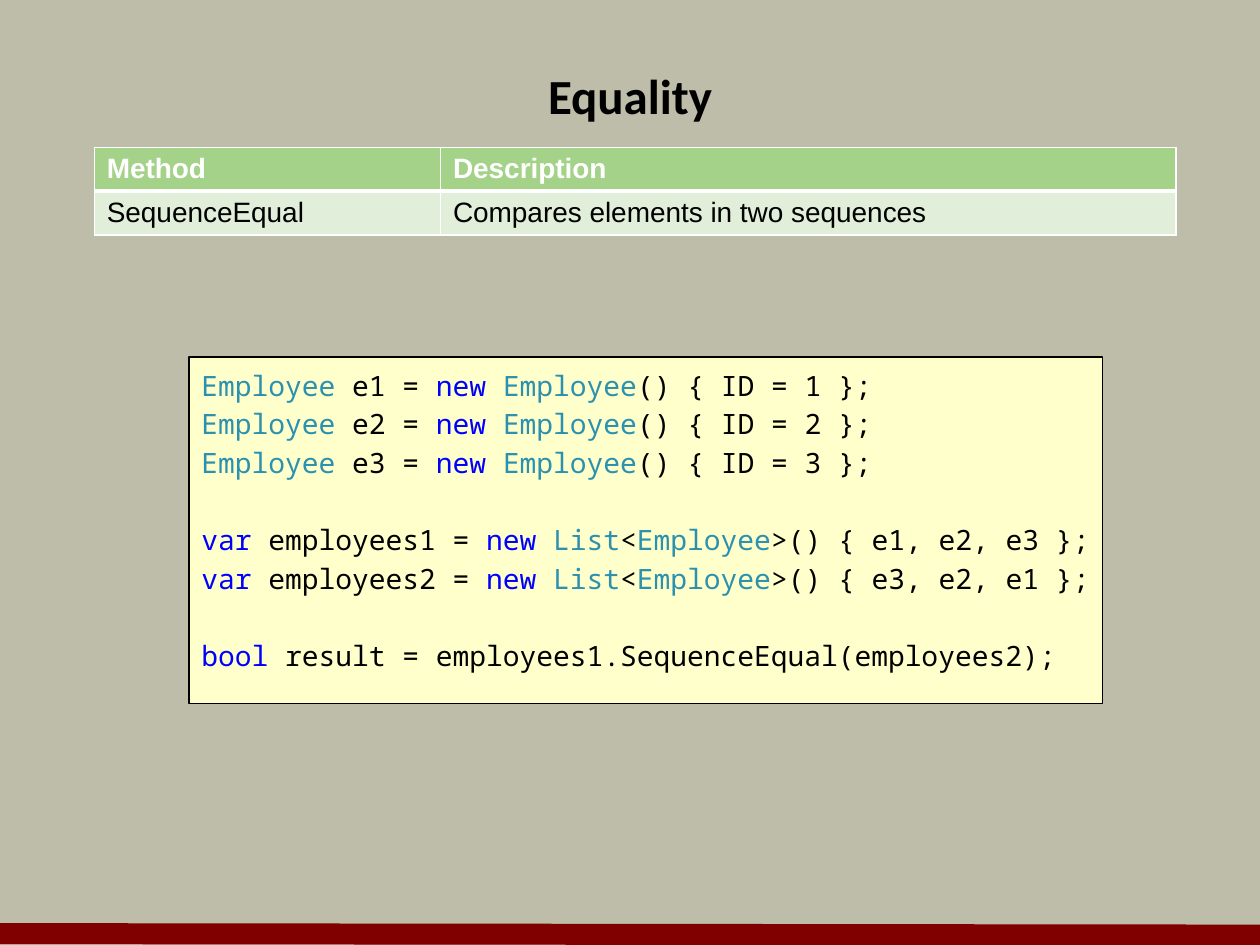
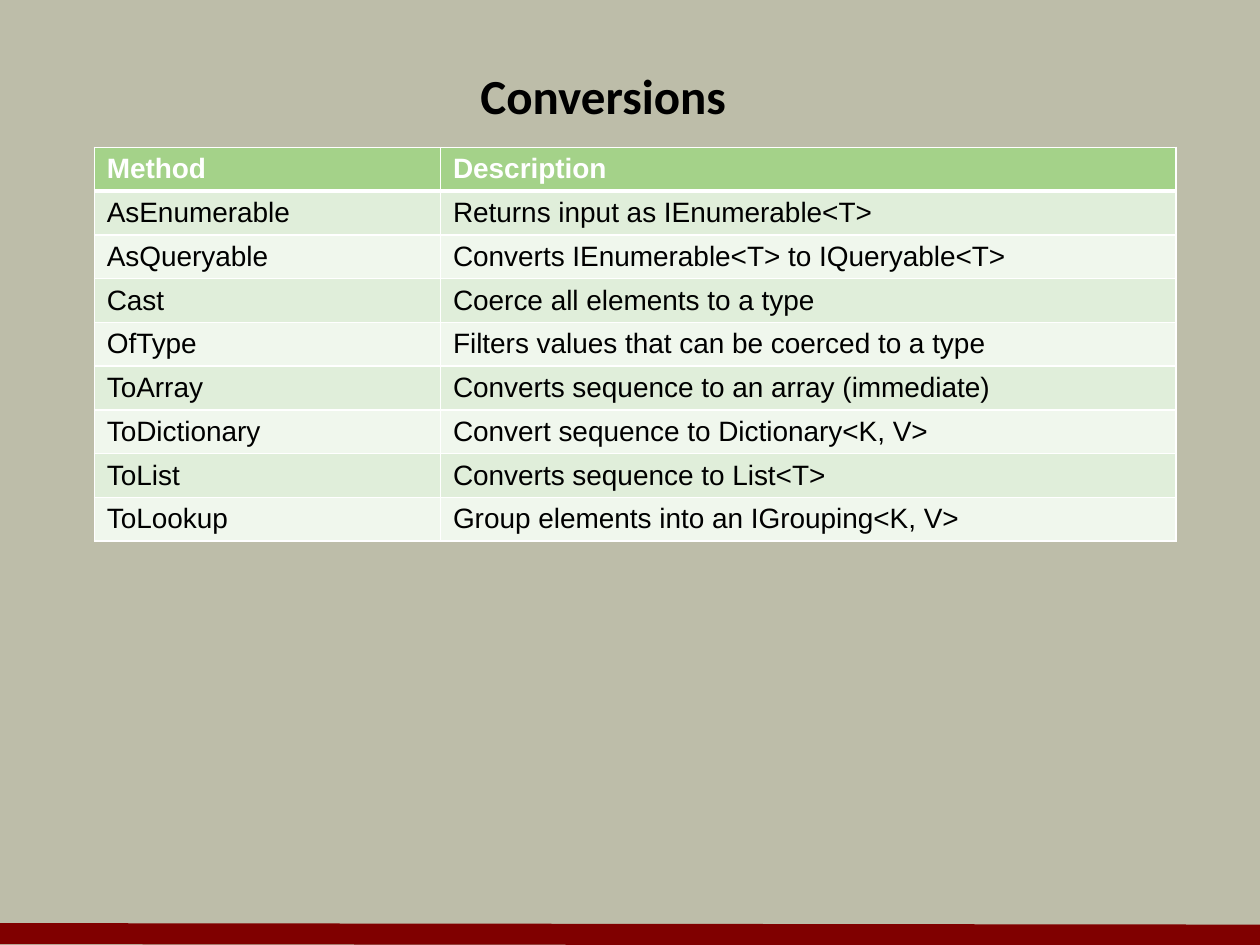
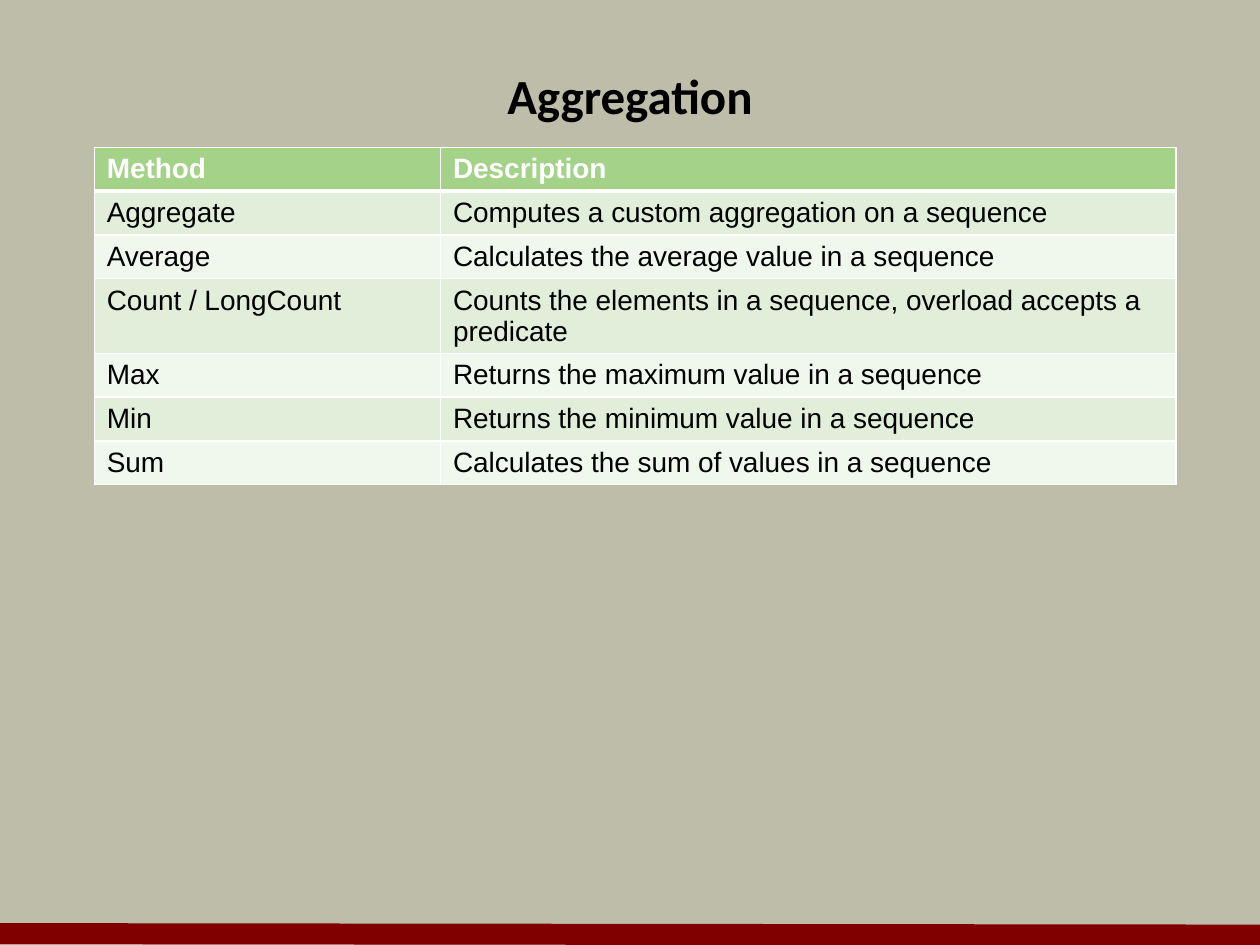
import dataclasses
import itertools

import pptx
import pptx.dml.color
import pptx.enum.shapes
import pptx.enum.text
import pptx.oxml
import pptx.oxml.ns
import pptx.util

Cm = pptx.util.Cm
Pt = pptx.util.Pt


# Colours, fonts and type sizes
@dataclasses.dataclass(frozen=True)
class Theme:
    back: str = "BDBDA9"
    band: str = "800000"
    ink: str = "000000"
    white: str = "FFFFFF"
    head: str = "A4D289"
    rows: tuple = ("E0EEDA", "F0F7ED")
    paper: str = "FFFFCC"
    word: str = "0000FF"
    kind: str = "2B91AF"
    title_font: str = "Calibri"
    text_font: str = "Arial"
    code_font: str = "Noto Sans Mono"
    title_size: int = 28
    text_size: int = 16


THEME = Theme()

# Boxes in cm: left, top, width, height
TITLE = (1.27, 0.85, 22.86, 2.12)
TABLE = (1.9, 2.97, 21.81, 0.88)  # height of one row
CODE = (3.81, 7.2, 18.42, 6.99)
SPLIT = 0.32  # share of the table taken by the first column

WORDS = {"new", "var", "bool"}
KINDS = {"Employee", "List"}

# Each block of code is set apart by a gap
BLOCKS = [
    [f"Employee e{n} = new Employee() {{ ID = {n} }};" for n in (1, 2, 3)],
    ["var employees1 = new List<Employee>() { e1, e2, e3 };",
     "var employees2 = new List<Employee>() { e3, e2, e1 };"],
    ["bool result = employees1.SequenceEqual(employees2);"],
]

EQUAL = [("SequenceEqual", "Compares elements in two sequences")]
CONVERT = [
    ("AsEnumerable", "Returns input as IEnumerable<T>"),
    ("AsQueryable", "Converts IEnumerable<T> to IQueryable<T>"),
    ("Cast", "Coerce all elements to a type"),
    ("OfType", "Filters values that can be coerced to a type"),
    ("ToArray", "Converts sequence to an array (immediate)"),
    ("ToDictionary", "Convert sequence to Dictionary<K, V>"),
    ("ToList", "Converts sequence to List<T>"),
    ("ToLookup", "Group elements into an IGrouping<K, V>"),
]
TOTAL = [
    ("Aggregate", "Computes a custom aggregation on a sequence"),
    ("Average", "Calculates the average value in a sequence"),
    ("Count / LongCount",
     "Counts the elements in a sequence, overload accepts a predicate"),
    ("Max", "Returns the maximum value in a sequence"),
    ("Min", "Returns the minimum value in a sequence"),
    ("Sum", "Calculates the sum of values in a sequence"),
]


def rgb(code):
    return pptx.dml.color.RGBColor.from_string(code)


def paint(fill, code):
    fill.solid()
    fill.fore_color.rgb = rgb(code)


def style(font, name, size, code, bold=False):
    font.name, font.size, font.bold = name, Pt(size), bold
    font.color.rgb = rgb(code)


# Band along the foot of the slide
def add_band(slide, wide):
    line = slide.shapes.add_connector(
        pptx.enum.shapes.MSO_CONNECTOR.STRAIGHT, 0, Cm(18.82), wide, Cm(18.85))
    line.line.color.rgb = rgb(THEME.band)
    line.line.width = Pt(12)
    props = line.element.find(pptx.oxml.ns.qn("p:spPr"))
    props.append(pptx.oxml.parse_xml(
        f"<a:effectLst {pptx.oxml.ns.nsdecls('a')}/>"))


# Title in its placeholder, with a hanging first line
def add_title(slide, text, box):
    title = slide.shapes.title
    title.left, title.top, title.width, title.height = map(Cm, box)
    frame = title.text_frame
    frame.text = text
    frame.vertical_anchor = pptx.enum.text.MSO_ANCHOR.MIDDLE
    para = frame.paragraphs[0]
    para.alignment = pptx.enum.text.PP_ALIGN.CENTER
    props = para._p.get_or_add_pPr()
    props.set("marL", str(Cm(0.95)))
    props.set("indent", str(-Cm(0.95)))
    style(para.runs[0].font, THEME.title_font, THEME.title_size, THEME.ink, True)


def edge(cell, sides):
    props = cell._tc.get_or_add_tcPr()
    for side, width in sides.items():
        props.append(pptx.oxml.parse_xml(
            f'<a:ln{side} {pptx.oxml.ns.nsdecls("a")} w="{Pt(width)}">'
            f'<a:solidFill><a:srgbClr val="{THEME.white}"/></a:solidFill>'
            f'</a:ln{side}>'))


# Table of methods: header row, then banded rows
def add_grid(slide, rows, box):
    left, top, width, high = box
    cells = [("Method", "Description"), *rows]
    grid = slide.shapes.add_table(
        len(cells), 2, Cm(left), Cm(top), Cm(width), Cm(high * len(cells))).table
    for col, share in zip(grid.columns, (SPLIT, 1 - SPLIT)):
        col.width = Cm(width * share)
    for r, texts in enumerate(cells):
        first = r == 0
        shade = THEME.head if first else THEME.rows[(r - 1) % 2]
        sides = {"L": 1, "R": 1, "T": 3 if r == 1 else 1, "B": 3 if first else 1}
        for c, text in enumerate(texts):
            cell = grid.cell(r, c)
            edge(cell, sides)
            paint(cell.fill, shade)
            cell.text_frame.text = text
            style(cell.text_frame.paragraphs[0].runs[0].font, THEME.text_font,
                  THEME.text_size, THEME.white if first else THEME.ink, first)


def hue(token):
    if token in WORDS:
        return THEME.word
    return THEME.kind if token in KINDS else THEME.ink


# One line of code, cut into runs of one colour
def add_line(para, text):
    tokens = ["".join(part) for _, part in itertools.groupby(text, str.isalnum)]
    for code, part in itertools.groupby(tokens, hue):
        run = para.add_run()
        run.text = "".join(part)
        style(run.font, THEME.code_font, THEME.text_size, code)


# Panel of code
def add_code(slide, blocks, box):
    panel = slide.shapes.add_shape(
        pptx.enum.shapes.MSO_SHAPE.RECTANGLE, *map(Cm, box))
    panel.shadow.inherit = False
    paint(panel.fill, THEME.paper)
    panel.line.color.rgb = rgb(THEME.ink)
    panel.line.width = Pt(0.75)
    frame = panel.text_frame
    frame.word_wrap = False
    frame.vertical_anchor = pptx.enum.text.MSO_ANCHOR.TOP
    for b, block in enumerate(blocks):
        for n, text in enumerate(block):
            start = b == n == 0
            para = frame.paragraphs[0] if start else frame.add_paragraph()
            para.alignment = pptx.enum.text.PP_ALIGN.LEFT
            para.line_spacing = 1.15
            if b and n == 0:
                para.space_before = Pt(22)
            add_line(para, text)


# A slide with a title and a table of methods
def add_page(deck, title, rows):
    slide = deck.slides.add_slide(deck.slide_layouts[5])
    add_band(slide, deck.slide_width)
    add_title(slide, title, TITLE)
    add_grid(slide, rows, TABLE)
    return slide


def main():
    deck = pptx.Presentation()
    deck.slide_width, deck.slide_height = Cm(25.4), Cm(19.05)
    paint(deck.slide_master.background.fill, THEME.back)
    add_code(add_page(deck, "Equality", EQUAL), BLOCKS, CODE)
    add_page(deck, "Conversions\t", CONVERT)
    add_page(deck, "Aggregation", TOTAL)
    deck.save("out.pptx")


if __name__ == "__main__":
    main()
